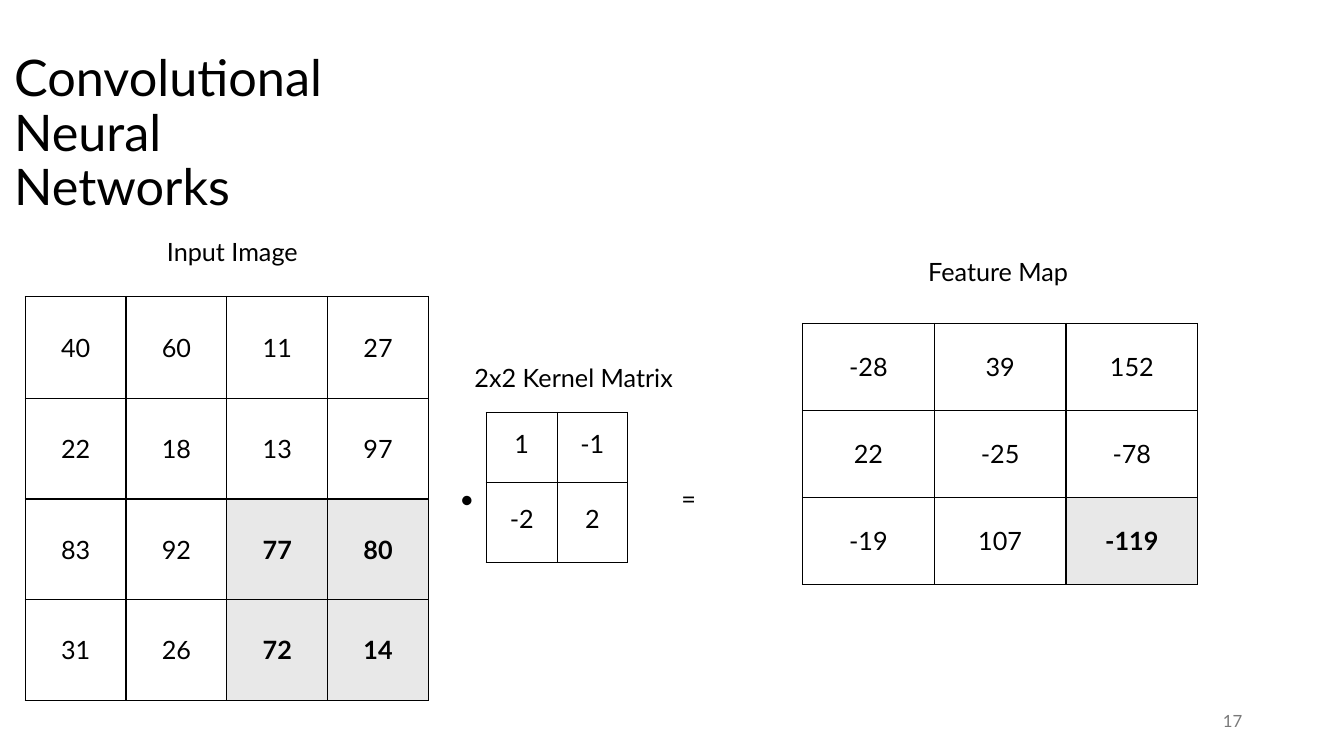
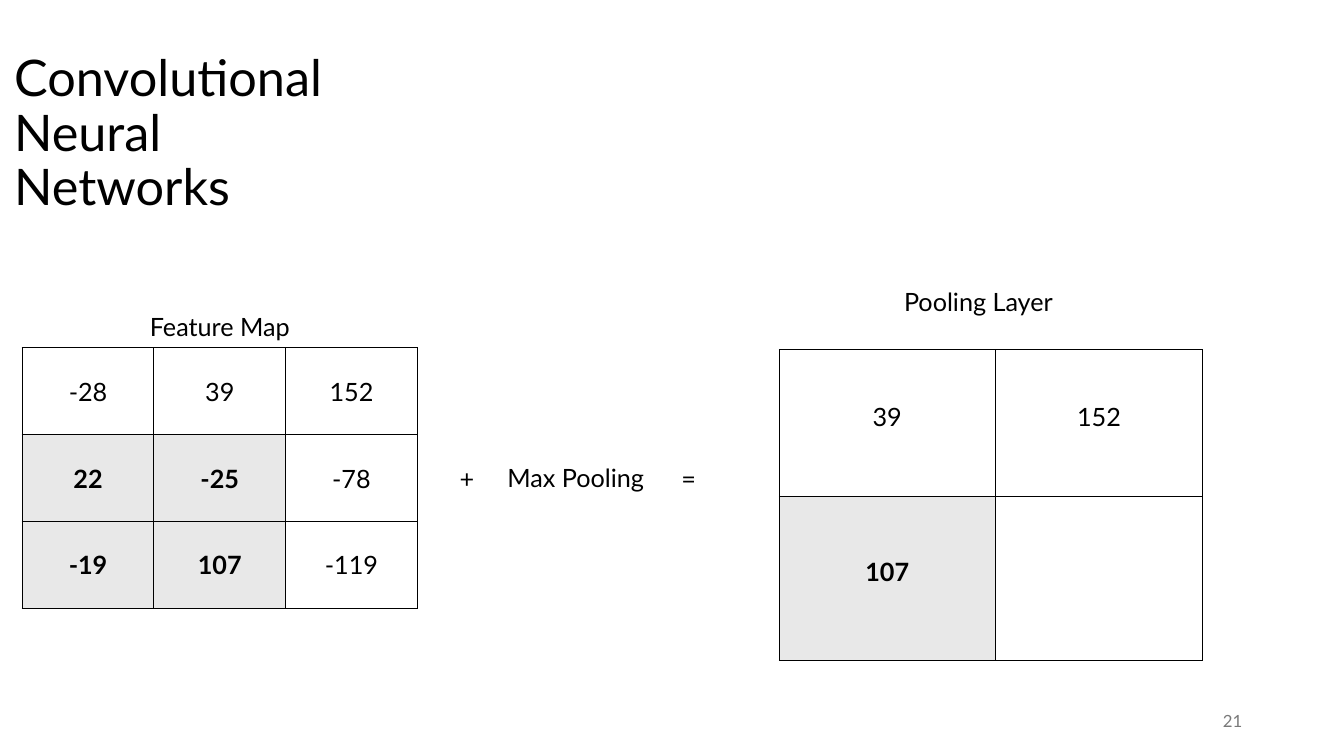
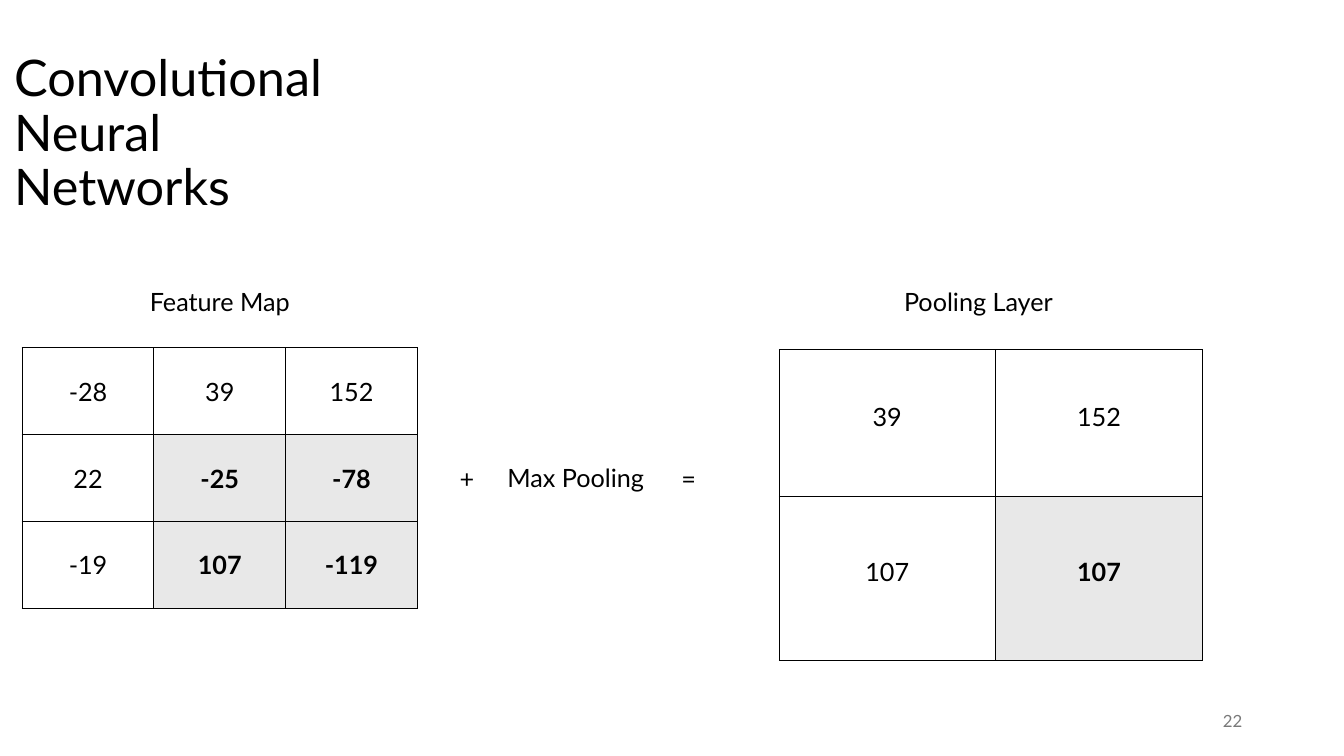
from pptx import Presentation
from pptx.dml.color import RGBColor
from pptx.enum.text import MSO_ANCHOR as ANCHOR, MSO_AUTO_SIZE as AUTO, PP_ALIGN as ALIGN
from pptx.oxml import parse_xml
from pptx.oxml.ns import nsdecls
from pptx.util import Emu, Pt

PX = 9144
FONT = "Lato"
BLACK = RGBColor(0x00, 0x00, 0x00)
GREY = RGBColor(0x79, 0x79, 0x79)
SHADE = RGBColor(0xE8, 0xE8, 0xE8)
WHITE = RGBColor(0xFF, 0xFF, 0xFF)

INPUT = [(40, 60, 11, 27), (22, 18, 13, 97), (83, 92, 77, 80), (31, 26, 72, 14)]
KERNEL = [(1, -1), (-2, 2)]
FEATURES = [(-28, 39, 152), (22, -25, -78), (-19, 107, -119)]


def px(n):
    """Turn px into EMU."""
    return Emu(round(n * PX))


def write(tf, text, size=18, color=BLACK, bold=False, align=ALIGN.CENTER, spacing=None):
    """Put formatted text into a text frame."""
    p = tf.paragraphs[0]
    p.alignment = align
    p.line_spacing = spacing
    r = p.add_run()
    r.text = text
    r.font.name = FONT
    r.font.size = Pt(size)
    r.font.bold = bold
    r.font.color.rgb = color


def add_label(s, box, text, anchor=ANCHOR.TOP, grow=True, **fmt):
    """Add a text box at box = (left, top, width, height)."""
    tf = s.shapes.add_textbox(*map(px, box)).text_frame
    tf.word_wrap = True
    tf.auto_size = AUTO.SHAPE_TO_FIT_TEXT if grow else AUTO.NONE
    tf.vertical_anchor = anchor
    write(tf, text, **fmt)


def add_borders(cell, width):
    """Draw a black line on all four sides of a cell."""
    tcPr = cell._tc.get_or_add_tcPr()
    for side in "LRTB":
        tcPr.append(parse_xml(
            f'<a:ln{side} {nsdecls("a")} w="{Pt(width)}"><a:solidFill>'
            f'<a:srgbClr val="{BLACK}"/></a:solidFill></a:ln{side}>'))


def add_matrix(s, box, values, cols=None, rows=None, marked=(), line=1, inset=None, spacing=None):
    """Add a table whose columns and rows share the box by weight."""
    cols = cols or [1] * len(values[0])
    rows = rows or [1] * len(values)
    table = s.shapes.add_table(len(rows), len(cols), *map(px, box)).table
    table.first_row = table.horz_banding = False
    for column, weight in zip(table.columns, cols):
        column.width = px(box[2] * weight / sum(cols))
    for i, weight in enumerate(rows):
        table.rows[i].height = px(box[3] * weight / sum(rows))
        for j, value in enumerate(values[i]):
            cell = table.cell(i, j)
            cell.vertical_anchor = ANCHOR.MIDDLE
            if inset:
                cell.margin_left = cell.margin_right = px(inset[0])
                cell.margin_top = cell.margin_bottom = px(inset[1])
            add_borders(cell, line)
            hot = (i, j) in marked
            cell.fill.solid()
            cell.fill.fore_color.rgb = SHADE if hot else WHITE
            if value is not None:
                write(cell.text_frame, str(value), bold=hot, spacing=spacing)


def add_slide(prs, number):
    """Add a slide with the shared title and page number."""
    s = prs.slides.add_slide(prs.slide_layouts[5])
    title = s.shapes.title
    title.left, title.top, title.width, title.height = map(px, (4, 0, 360, 268))
    tf = title.text_frame
    tf.word_wrap = True
    tf.auto_size = AUTO.NONE
    tf.vertical_anchor = ANCHOR.MIDDLE
    write(tf, "Convolutional Neural Networks", size=36, align=ALIGN.LEFT, spacing=0.9)
    add_label(s, (942, 695, 300, 40), str(number), anchor=ANCHOR.MIDDLE, grow=False,
              size=12, color=GREY, align=ALIGN.RIGHT)
    return s


def add_operators(s, top, sign):
    """Add the sign and the equals sign between the matrices."""
    add_label(s, (446, top, 36, 40), sign, align=ALIGN.LEFT)
    add_label(s, (666, top, 34, 40), "=", align=ALIGN.LEFT)


def convolution_slide(prs, number):
    """Build input image, kernel and feature map."""
    s = add_slide(prs, number)
    add_operators(s, 475, "•")
    add_matrix(s, (25, 294, 400, 401), INPUT, rows=(101, 100, 100, 100),
               marked=[(2, 2), (2, 3), (3, 2), (3, 3)])
    add_matrix(s, (796, 321, 392, 259), FEATURES, marked=[(2, 2)])
    add_matrix(s, (482, 409, 140, 149), KERNEL, cols=(71, 69), rows=(70, 79),
               line=0.75, inset=(7, 4), spacing=Pt(15.8))
    add_label(s, (57, 230, 347, 40), "Input Image")
    add_label(s, (445, 355, 248, 40), "2x2 Kernel Matrix")
    add_label(s, (819, 249, 342, 40), "Feature Map")


def pooling_slide(prs, number, label_top, window, pooled, result):
    """Build feature map and pooling layer with the current window marked."""
    s = add_slide(prs, number)
    add_operators(s, 455, "+")
    add_matrix(s, (22, 345, 392, 259), FEATURES, marked=window)
    add_label(s, (447, 454, 248, 40), "Max Pooling")
    add_label(s, (47, label_top, 342, 40), "Feature Map")
    add_matrix(s, (773, 347, 420, 308), pooled, cols=(214, 206), rows=(146, 162),
               marked=[result], line=0.75, inset=(6, 3), spacing=Pt(11.7))
    add_label(s, (805, 279, 331, 40), "Pooling Layer", anchor=ANCHOR.MIDDLE)


def main():
    """Build and save the presentation."""
    prs = Presentation()
    prs.slide_width, prs.slide_height = px(1333), px(750)
    convolution_slide(prs, 17)
    pooling_slide(prs, 21, 304, [(1, 0), (1, 1), (2, 0), (2, 1)],
                  [(39, 152), (107, None)], (1, 0))
    pooling_slide(prs, 22, 279, [(1, 1), (1, 2), (2, 1), (2, 2)],
                  [(39, 152), (107, 107)], (1, 1))
    prs.save("out.pptx")


if __name__ == "__main__":
    main()
